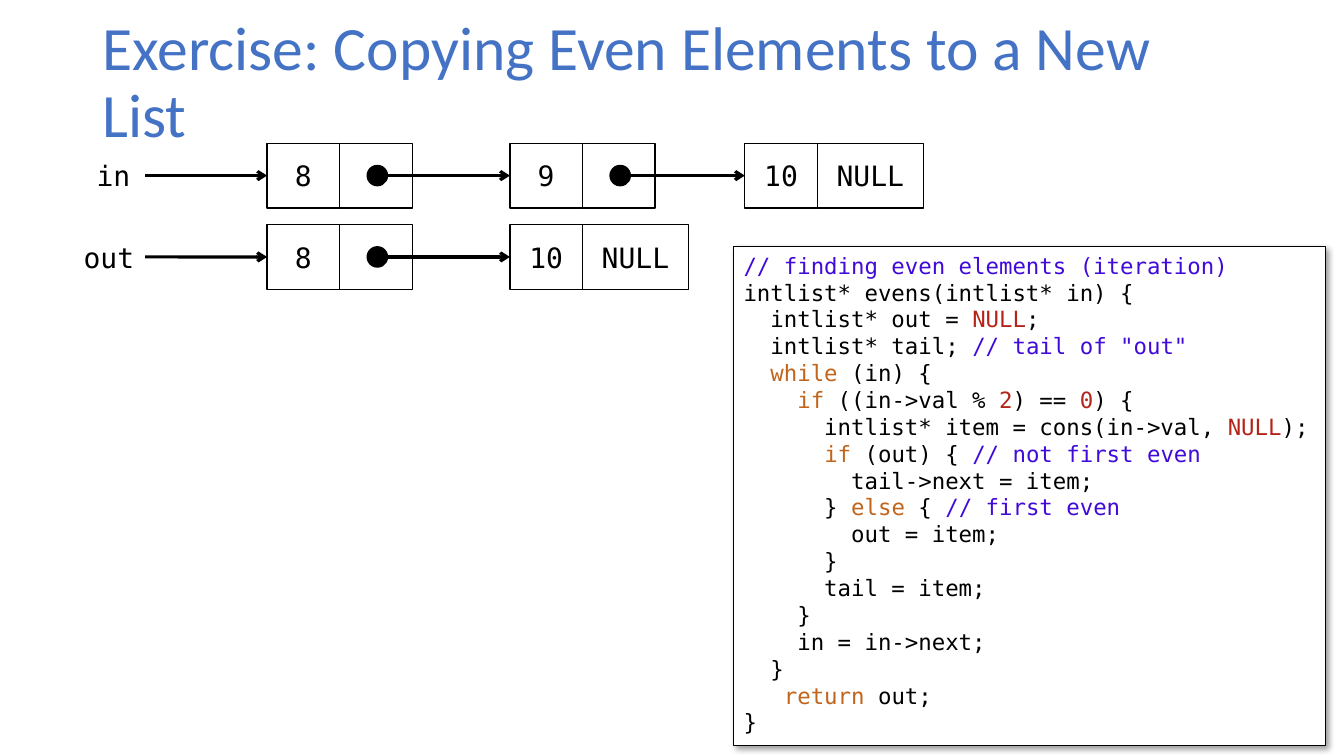
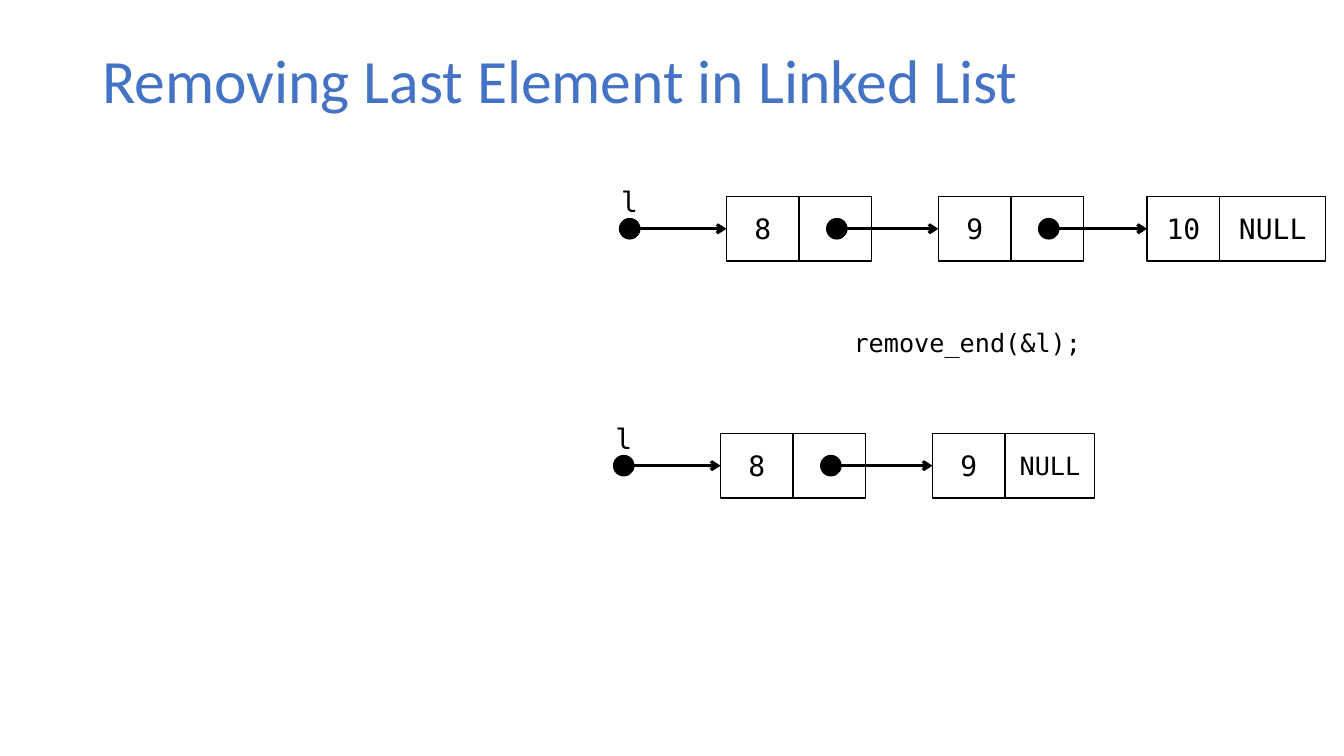
from lxml import etree
from pptx import Presentation
from pptx.dml.color import RGBColor
from pptx.enum.shapes import MSO_CONNECTOR, MSO_SHAPE
from pptx.enum.text import MSO_ANCHOR, PP_ALIGN
from pptx.oxml.ns import qn
from pptx.util import Cm, Pt

RECT, OVAL = MSO_SHAPE.RECTANGLE, MSO_SHAPE.OVAL
STRAIGHT = MSO_CONNECTOR.STRAIGHT
LEFT, CENTER = PP_ALIGN.LEFT, PP_ALIGN.CENTER
TOP, MIDDLE = MSO_ANCHOR.TOP, MSO_ANCHOR.MIDDLE

BLACK = RGBColor(0x00, 0x00, 0x00)
WHITE = RGBColor(0xFF, 0xFF, 0xFF)
TITLE_BLUE = RGBColor(0x44, 0x72, 0xC4)
COMMENT = RGBColor(0x40, 0x0B, 0xD9)
KEYWORD = RGBColor(0xC1, 0x65, 0x1C)
LITERAL = RGBColor(0xB4, 0x24, 0x19)
SANS, MONO = "Calibri", "DejaVu Sans Mono"

# Lengths in centimetres
CELL_W, CELL_H, NULL_W = 1.83, 1.63, 2.67
DOT, DOT_X = 0.51, 0.95
LABEL_H = 1.12

EVENS_CODE = [
    [("// finding even elements (iteration)", COMMENT)],
    ["intlist* evens(intlist* in) {"],
    ["  intlist* out = ", ("NULL", LITERAL), ";"],
    ["  intlist* tail; ", ('// tail of "out"', COMMENT)],
    ["  ", ("while", KEYWORD), " (in) {"],
    ["    ", ("if", KEYWORD), " ((in->val % ", ("2", LITERAL), ") == ",
     ("0", LITERAL), ") {"],
    ["      intlist* item = cons(in->val, ", ("NULL", LITERAL), ");"],
    ["      ", ("if", KEYWORD), " (out) { ", ("// not first even", COMMENT)],
    ["        tail->next = item;"],
    ["      } ", ("else", KEYWORD), " { ", ("// first even", COMMENT)],
    ["        out = item;"],
    ["      }"],
    ["      tail = item;"],
    ["    }"],
    ["    in = in->next;"],
    ["  }"],
    ["   ", ("return", KEYWORD), " out;"],
    ["}"],
]


def write(sp, lines, size=20, font=MONO, color=BLACK, align=CENTER,
          anchor=MIDDLE, spacing=None):
    """Fill sp with lines, each a string or a list of strings and (text, colour) pairs."""
    tf = sp.text_frame
    tf.word_wrap = True
    tf.vertical_anchor = anchor
    for i, line in enumerate(lines):
        p = tf.add_paragraph() if i else tf.paragraphs[0]
        p.alignment = align
        if spacing:
            p.line_spacing = spacing
        for part in [line] if isinstance(line, str) else line:
            text, run_color = (part, color) if isinstance(part, str) else part
            r = p.add_run()
            r.text = text
            r.font.size = Pt(size)
            r.font.name = font
            r.font.color.rgb = run_color


def add_text(s, x, y, w, h, lines, **fmt):
    sp = s.shapes.add_textbox(Cm(x), Cm(y), Cm(w), Cm(h))
    write(sp, lines, **fmt)
    return sp


def add_box(s, kind, x, y, w, h, fill=WHITE, line=1):
    sp = s.shapes.add_shape(kind, Cm(x), Cm(y), Cm(w), Cm(h))
    sp.shadow.inherit = False
    sp.fill.solid()
    sp.fill.fore_color.rgb = fill
    sp.line.color.rgb = BLACK
    sp.line.width = Pt(line)
    return sp


def add_dot(s, cx, cy):
    add_box(s, OVAL, cx - DOT / 2, cy - DOT / 2, DOT, DOT, fill=BLACK)


def add_arrow(s, x, y, target, source=None):
    """Arrow from (x, y), or from the right side of source, to the left of target."""
    c = s.shapes.add_connector(STRAIGHT, Cm(x), Cm(y), target.left, Cm(y))
    if source is not None:
        c.begin_connect(source, 3)
    c.end_connect(target, 1)
    c.line.color.rgb = BLACK
    c.line.width = Pt(2.25)
    etree.SubElement(c.line._get_or_add_ln(), qn("a:tailEnd"), type="arrow")
    etree.SubElement(c._element.spPr, qn("a:effectLst"))


def linked_list(s, x, y, values, offsets, null_w=NULL_W, null_size=20):
    """Draw the chain whose first node is at (x, y); return its first cell."""
    mid = y + CELL_H / 2
    cells = []
    for value, dx in zip(values, offsets):
        next_x = x + dx + CELL_W
        last = len(cells) == len(values) - 1
        pointer = add_box(s, RECT, next_x, y, null_w if last else CELL_W, CELL_H)
        cell = add_box(s, RECT, x + dx, y, CELL_W, CELL_H)
        write(cell, [value])
        cells.append(cell)
        if last:
            write(pointer, ["NULL"], size=null_size)
        else:
            add_dot(s, next_x + DOT_X, mid)
    for dx, target in zip(offsets, cells[1:]):
        add_arrow(s, x + dx + CELL_W + DOT_X + DOT / 2, mid, target)
    return cells[0]


def named_list(s, y, name, label_w, values):
    """List with its variable name at the left of the arrow."""
    first = linked_list(s, 6.73, y, values, (0, 6.12, 12.04))
    mid = y + CELL_H / 2
    label_end = 3.66
    label = add_text(s, label_end - label_w, mid - LABEL_H / 2, label_w, LABEL_H,
                     [name])
    add_arrow(s, label_end, mid, first, source=label)


def pointer_list(s, x, y, name, values, **fmt):
    """List with its variable name above a head pointer."""
    first = linked_list(s, x, y, values, (0, 5.34, 10.6), **fmt)
    head_x, mid, label_w = x - 2.44, y + CELL_H / 2, 1.6
    add_text(s, head_x - label_w / 2, y - 0.44, label_w, LABEL_H, [name])
    add_dot(s, head_x, mid)
    add_arrow(s, head_x + DOT / 2, mid, first)


def code_panel(s, x, y, w, h, lines):
    sp = add_box(s, RECT, x, y, w, h, line=0.75)
    effects = sp._element.spPr.find(qn("a:effectLst"))
    shadow = etree.SubElement(effects, qn("a:outerShdw"), blurRad="50800",
                              dist="38100", dir="2700000", algn="tl",
                              rotWithShape="0")
    shade = etree.SubElement(shadow, qn("a:srgbClr"), val=str(BLACK))
    etree.SubElement(shade, qn("a:alpha"), val="40000")
    write(sp, lines, size=16, align=LEFT, anchor=TOP)


def titled_slide(prs, title):
    s = prs.slides.add_slide(prs.slide_layouts[6])
    add_text(s, 2.33, 1.01, 29.21, 2.21, [title], size=44, font=SANS,
             color=TITLE_BLUE, align=LEFT, spacing=0.9)
    return s


def copy_evens_slide(prs):
    s = titled_slide(prs, "Exercise: Copying Even Elements to a New List")
    code_panel(s, 18.49, 6.22, 14.91, 12.57, EVENS_CODE)
    named_list(s, 3.61, "in", 1.6, ["8", "9", "10"])
    named_list(s, 5.66, "out", 1.83, ["8", "10"])


def remove_last_slide(prs):
    s = titled_slide(prs, "Removing Last Element in Linked List")
    pointer_list(s, 18.31, 4.95, "l", ["8", "9", "10"])
    add_text(s, 21.26, 8.13, 6.32, 1.02, ["remove_end(&l);"], size=18,
             align=LEFT, anchor=TOP)
    pointer_list(s, 18.16, 10.92, "l", ["8", "9"], null_w=2.26, null_size=18)


def main():
    prs = Presentation()
    prs.slide_width, prs.slide_height = Cm(33.87), Cm(19.05)
    copy_evens_slide(prs)
    remove_last_slide(prs)
    prs.save("out.pptx")


if __name__ == "__main__":
    main()
